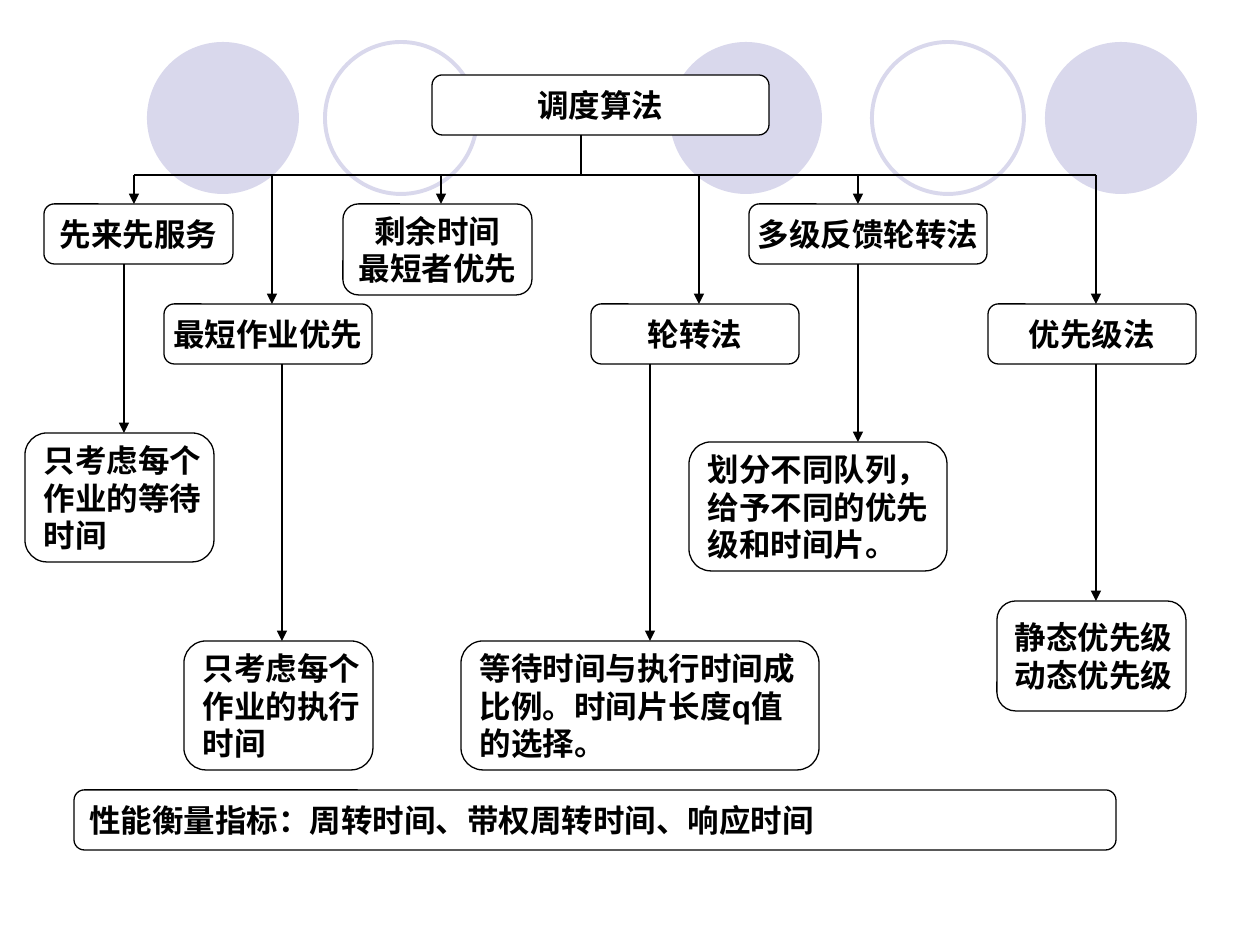
import pptx
import pptx.util
import pptx.dml.color
import pptx.enum.shapes
import pptx.enum.text
import pptx.oxml.ns
import lxml.etree

BLACK = pptx.dml.color.RGBColor(0x00, 0x00, 0x00)
WHITE = pptx.dml.color.RGBColor(0xFF, 0xFF, 0xFF)
LAVENDER = pptx.dml.color.RGBColor(0xD9, 0xD8, 0xEC)
CENTER = pptx.enum.text.PP_ALIGN.CENTER
LEFT = pptx.enum.text.PP_ALIGN.LEFT
SHAPES = pptx.enum.shapes.MSO_SHAPE

CIRCLE_TOP, CIRCLE_SIZE = 42, 152
CIRCLES = [(670, True), (1045, True), (147, True), (872, False), (325, False)]

ROOT_BOTTOM, BUS_Y = 135, 175
BOX_HEIGHT = 60
UPPER_ROW, LOWER_ROW = 204, 304

ALGORITHMS = [
    (134, (44, UPPER_ROW, 189, BOX_HEIGHT), "先来先服务"),
    (272, (164, LOWER_ROW, 208, BOX_HEIGHT), "最短作业优先"),
    (441, (343, UPPER_ROW, 189, 91), "剩余时间\n最短者优先"),
    (699, (591, LOWER_ROW, 208, BOX_HEIGHT), "轮转法"),
    (858, (749, UPPER_ROW, 238, BOX_HEIGHT), "多级反馈轮转法"),
    (1096, (988, LOWER_ROW, 208, BOX_HEIGHT), "优先级法"),
]
REMARKS = [
    (124, UPPER_ROW, (25, 433, 189, 129), "只考虑每个\n作业的等待\n时间"),
    (282, LOWER_ROW, (184, 641, 189, 129), "只考虑每个\n作业的执行\n时间"),
    (650, LOWER_ROW, (461, 641, 358, 129),
     "等待时间与执行时间成\n比例。时间片长度q值\n的选择。"),
    (858, UPPER_ROW, (689, 442, 258, 129),
     "划分不同队列，\n给予不同的优先\n级和时间片。"),
    (1096, LOWER_ROW, (997, 601, 189, 110), "静态优先级\n动态优先级"),
]


def px(length):
    return pptx.util.Emu(round(length * 914400 / 126))


def write_text(text_frame, text, *, font, size, color, bold, align):
    text_frame.word_wrap = False
    text_frame.vertical_anchor = pptx.enum.text.MSO_ANCHOR.MIDDLE
    text_frame.text = text
    for paragraph in text_frame.paragraphs:
        paragraph.alignment = align
        for run in paragraph.runs:
            run.font.name = font
            run.font.size = pptx.util.Pt(size)
            run.font.bold = bold
            run.font.color.rgb = color


class Diagram:
    font = "Arial"
    text_size = 18
    line_width = pptx.util.Pt(0.75)
    ring_width = pptx.util.Pt(2.25)

    def __init__(self, slide):
        self.slide = slide

    def shape(self, kind, left, top, width, height):
        shape = self.slide.shapes.add_shape(
            kind, px(left), px(top), px(width), px(height))
        shape.shadow.inherit = False
        return shape

    def circle(self, left, filled):
        shape = self.shape(SHAPES.OVAL, left, CIRCLE_TOP, CIRCLE_SIZE, CIRCLE_SIZE)
        if filled:
            shape.fill.solid()
            shape.fill.fore_color.rgb = LAVENDER
            shape.line.fill.background()
        else:
            shape.fill.background()
            shape.line.color.rgb = LAVENDER
            shape.line.width = self.ring_width

    def box(self, bounds, text, align=CENTER):
        shape = self.shape(SHAPES.ROUNDED_RECTANGLE, *bounds)
        shape.adjustments[0] = 0.17
        shape.fill.solid()
        shape.fill.fore_color.rgb = WHITE
        shape.line.color.rgb = BLACK
        shape.line.width = self.line_width
        write_text(shape.text_frame, text, font=self.font, size=self.text_size,
                   color=BLACK, bold=True, align=align)

    def line(self, start, end, arrow=False):
        connector = self.slide.shapes.add_connector(
            pptx.enum.shapes.MSO_CONNECTOR.STRAIGHT,
            *map(px, start), *map(px, end))
        connector.line.color.rgb = BLACK
        connector.line.width = self.line_width
        if arrow:
            lxml.etree.SubElement(connector.line._get_or_add_ln(),
                                  pptx.oxml.ns.qn("a:tailEnd"), type="triangle")
        lxml.etree.SubElement(connector._element.spPr,
                              pptx.oxml.ns.qn("a:effectLst"))


def main():
    presentation = pptx.Presentation()
    presentation.slide_width = px(1260)
    presentation.slide_height = px(945)
    diagram = Diagram(presentation.slides.add_slide(presentation.slide_layouts[6]))

    for left, filled in CIRCLES:
        diagram.circle(left, filled)

    diagram.box((432, ROOT_BOTTOM - BOX_HEIGHT, 337, BOX_HEIGHT), "调度算法")
    diagram.line((581, ROOT_BOTTOM), (581, BUS_Y))
    diagram.line((ALGORITHMS[0][0], BUS_Y), (ALGORITHMS[-1][0], BUS_Y))

    for arrow_x, bounds, text in ALGORITHMS:
        diagram.line((arrow_x, BUS_Y), (arrow_x, bounds[1]), arrow=True)
        diagram.box(bounds, text)

    for arrow_x, row, bounds, text in REMARKS:
        diagram.line((arrow_x, row + BOX_HEIGHT), (arrow_x, bounds[1]), arrow=True)
        diagram.box(bounds, text, align=LEFT)

    diagram.box((74, 790, 1042, BOX_HEIGHT),
                "性能衡量指标：周转时间、带权周转时间、响应时间", align=LEFT)

    presentation.save("out.pptx")


if __name__ == "__main__":
    main()
